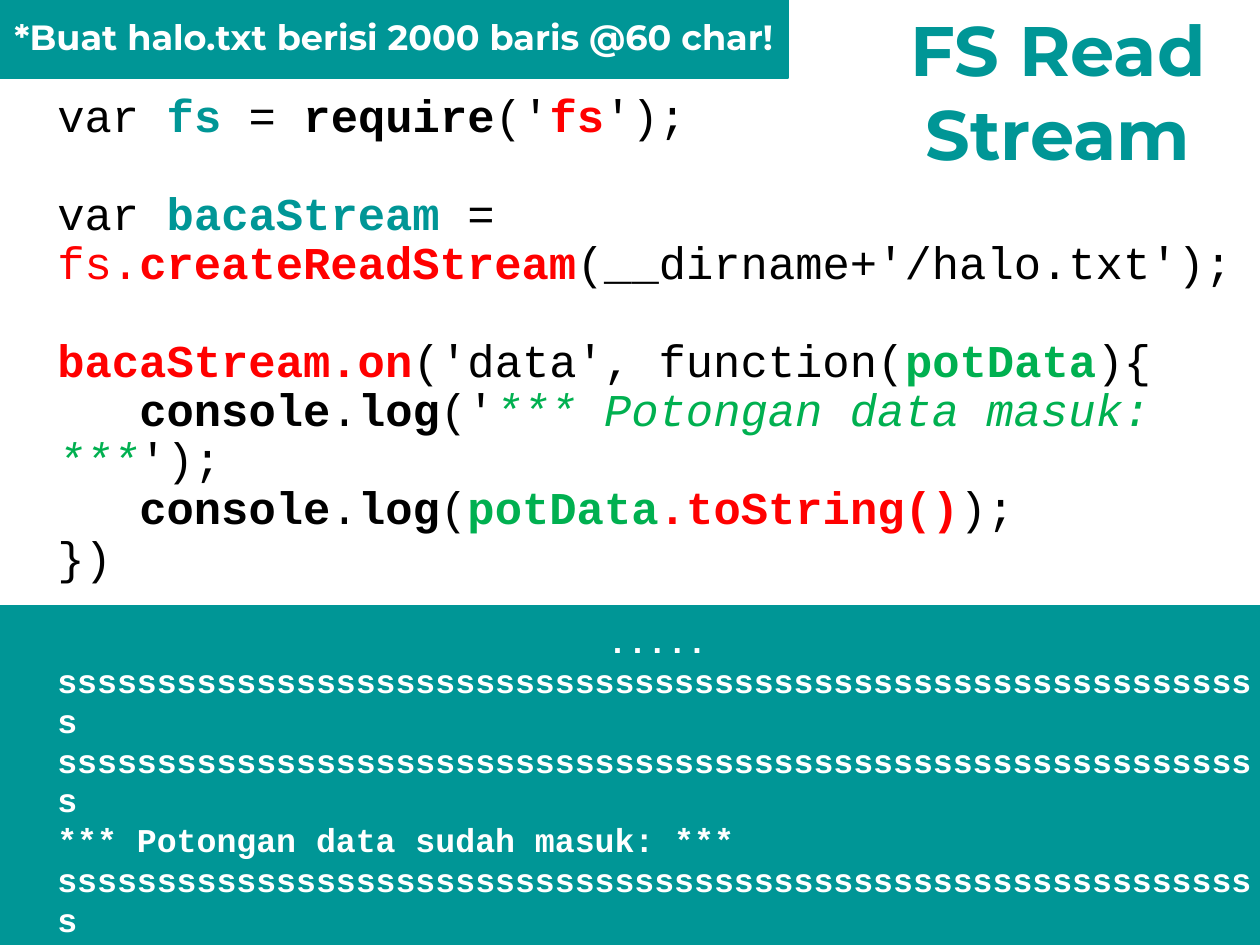
from pptx import Presentation
from pptx.dml.color import RGBColor
from pptx.enum import shapes, text
from pptx.util import Pt

EMU_PER_PX = 914400 / 126
TEAL, RED, GREEN, BLACK, WHITE = "009696", "FF0000", "00B050", "000000", "FFFFFF"
MONO, SANS = "Courier New", "Montserrat"

# Styles of the code runs
PLAIN = {"color": BLACK}
STRONG = {"color": BLACK, "bold": True}
NAME = {"color": TEAL, "bold": True}
CALL = {"color": RED, "bold": True}
MODULE = {"color": RED}
PARAM = {"color": GREEN, "bold": True}
STRING = {"color": GREEN, "italic": True}

INDENTED = {"indent": 82}
SPACED = {"space_before": 28}
CENTERED = {"alignment": text.PP_ALIGN.CENTER}

CODE = [
    ({}, [("var ", PLAIN), ("fs", NAME), (" = ", PLAIN), ("require", STRONG),
          ("('", PLAIN), ("fs", CALL), ("');", PLAIN)]),
    (SPACED, [("var ", PLAIN), ("bacaStream", NAME), (" = ", PLAIN), ("fs.", MODULE),
              ("createReadStream", CALL), ("(__dirname+'/halo.txt');", PLAIN)]),
    (SPACED, [("bacaStream.on", CALL), ("('data', function(", PLAIN),
              ("potData", PARAM), ("){", PLAIN)]),
    (INDENTED, [("console", STRONG), (".", PLAIN), ("log", STRONG), ("('", PLAIN),
                ("*** Potongan data masuk: ***", STRING), ("');", PLAIN)]),
    (INDENTED, [("console", STRONG), (".", PLAIN), ("log", STRONG), ("(", PLAIN),
                ("potData", PARAM), (".toString()", CALL), (");", PLAIN)]),
    ({}, [("})", PLAIN)]),
]


def px(length):
    return round(length * EMU_PER_PX)


def rgb(hex_color):
    return RGBColor.from_string(hex_color)


def place(shape, box):
    shape.left, shape.top, shape.width, shape.height = map(px, box)


def write(frame, lines, font, size, anchor=text.MSO_ANCHOR.TOP, spacing=1.0):
    """Fill a text frame with lines of (paragraph format, styled runs)."""
    settings = {"word_wrap": True, "auto_size": text.MSO_AUTO_SIZE.NONE,
                "vertical_anchor": anchor}
    for key, value in settings.items():
        setattr(frame, key, value)
    for number, (layout, runs) in enumerate(lines):
        line = frame.paragraphs[0] if number == 0 else frame.add_paragraph()
        line.alignment = layout.get("alignment", text.PP_ALIGN.LEFT)
        line.line_spacing = spacing
        line.space_before = Pt(layout.get("space_before", 0))
        if "indent" in layout:
            line._p.get_or_add_pPr().set("indent", str(px(layout["indent"])))
        for words, style in runs:
            run = line.add_run()
            run.text = words
            run.font.color.rgb = rgb(style["color"])
            for key, value in {"name": font, "size": Pt(size),
                               "bold": style.get("bold", False),
                               "italic": style.get("italic", False)}.items():
                setattr(run.font, key, value)


def add_text(slide, box, lines, font, size, **options):
    block = slide.shapes.add_textbox(*map(px, box))
    write(block.text_frame, lines, font, size, **options)


def add_panel(slide, box):
    panel = slide.shapes.add_shape(shapes.MSO_SHAPE.RECTANGLE, *map(px, box))
    panel.shadow.inherit = False
    panel.fill.solid()
    panel.fill.fore_color.rgb = rgb(TEAL)
    panel.line.color.rgb = rgb(TEAL)
    panel.line.width = Pt(1)


def add_title(slide, box):
    heading = slide.shapes.title
    place(heading, box)
    write(heading.text_frame,
          [(CENTERED, [(word, NAME)]) for word in ("FS Read", "Stream")], SANS, 40)


def add_code(slide, box):
    add_text(slide, box, CODE, MONO, 26, anchor=text.MSO_ANCHOR.MIDDLE, spacing=0.9)


def add_output(slide, box):
    """Console output on a teal panel, ending inside the panel."""
    left, top, width, height = box
    add_panel(slide, box)
    style = {"color": WHITE, "bold": True}
    dots = (CENTERED, [(".....", style)])
    data = ({}, [("s" * 61, style)])
    message = ({}, [("*** Potongan data sudah masuk: ***", style)])
    add_text(slide, (left + 45, top + 8, width - 35, height - 8),
             [dots, data, data, message, data], MONO, 19)


def add_banner(slide, box):
    """Instruction strip in the top left corner."""
    left, top, width, height = box
    add_panel(slide, box)
    note = [("*Buat halo.txt berisi 2000 baris @60 char!", {"color": WHITE, "bold": True})]
    add_text(slide, (left, top + 22, width, height - 36), [(CENTERED, note)], SANS, 20)


deck = Presentation()
deck.slide_width, deck.slide_height = px(1260), px(945)
stream_slide = deck.slides.add_slide(deck.slide_layouts[5])

add_code(stream_slide, (45, 43, 1225, 591))
add_output(stream_slide, (0, 606, 1260, 339))
add_banner(stream_slide, (0, -13, 788, 91))
add_title(stream_slide, (855, 0, 406, 183))

deck.save("out.pptx")
